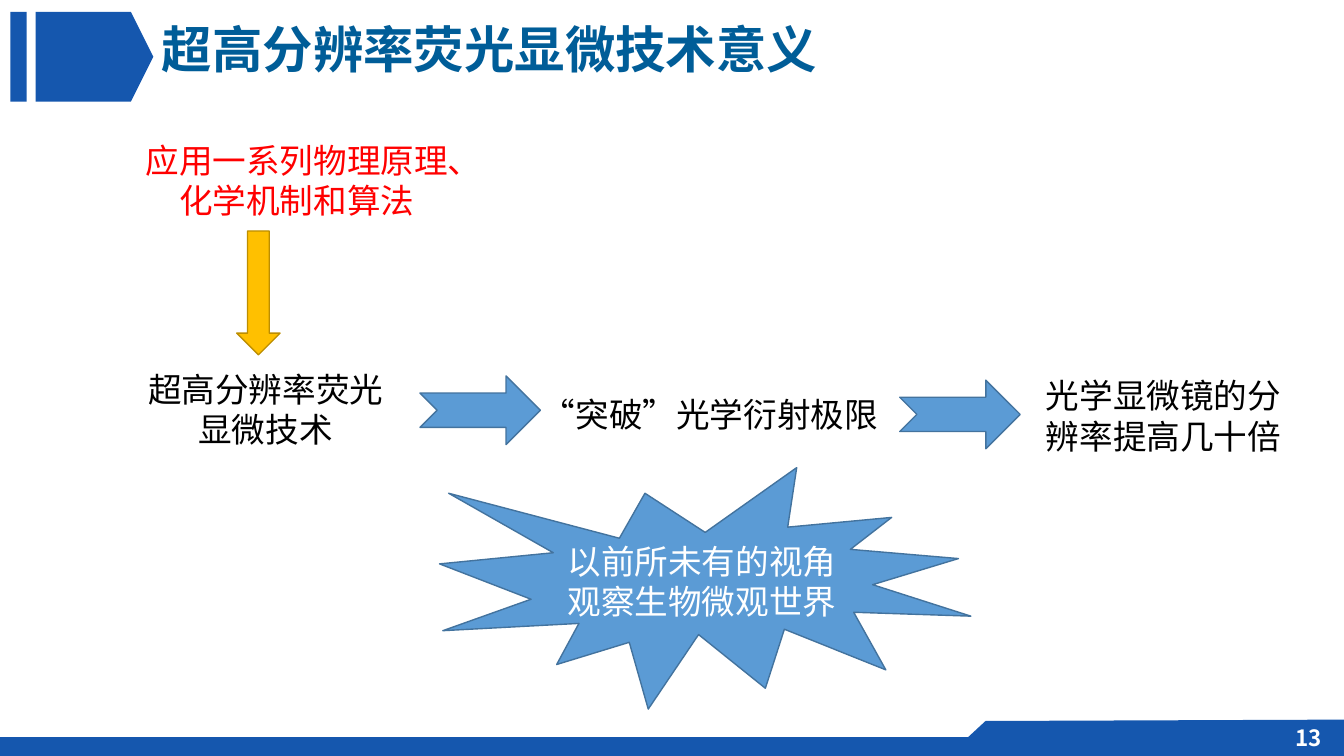
from lxml.etree import SubElement
from pptx import Presentation
from pptx.dml.color import RGBColor
from pptx.enum.shapes import MSO_SHAPE
from pptx.enum.text import MSO_ANCHOR, MSO_AUTO_SIZE, PP_ALIGN
from pptx.oxml.ns import qn
from pptx.util import Pt

WIDTH, HEIGHT = 960, 540
FONT = "Noto Sans CJK SC"
NAVY, TITLE_BLUE, WHITE, BLACK, RED = "1557AE", "005D98", "FFFFFF", "000000", "FF0000"
BLUE, BLUE_EDGE, GOLD, GOLD_EDGE = "5B9BD5", "43739E", "FFC000", "BD8E00"


def color(value):
    return RGBColor.from_string(value)


def paint(shape, fill, edge=None):
    shape.shadow.inherit = False
    shape.fill.solid()
    shape.fill.fore_color.rgb = color(fill)
    if edge:
        shape.line.color.rgb = color(edge)
        shape.line.width = Pt(1)
    else:
        shape.line.fill.background()


def add_block(slide, kind, box, fill, edge=None):
    shape = slide.shapes.add_shape(kind, *map(Pt, box))
    paint(shape, fill, edge)
    return shape


def add_outline(slide, points, fill):
    start, *others = [(Pt(x), Pt(y)) for x, y in points]
    builder = slide.shapes.build_freeform(*start, scale=1.0)
    builder.add_line_segments(others, close=True)
    paint(builder.convert_to_shape(), fill)


def write(shape, text, size, text_color, bold=False, align=PP_ALIGN.LEFT):
    """Put one paragraph in the shape, with the font set for Chinese as well."""
    paragraph = shape.text_frame.paragraphs[0]
    paragraph.alignment = align
    run = paragraph.add_run()
    run.text = text
    formats = {"name": FONT, "size": Pt(size), "bold": bold}
    for name, value in formats.items():
        setattr(run.font, name, value)
    run.font.color.rgb = color(text_color)
    SubElement(run.font._element, qn("a:ea"), typeface=FONT)


def add_text(slide, box, text, size=24, text_color=BLACK, wrap=True, **formats):
    shape = slide.shapes.add_textbox(*map(Pt, box))
    frame_formats = {"word_wrap": wrap, "auto_size": MSO_AUTO_SIZE.SHAPE_TO_FIT_TEXT}
    for name, value in frame_formats.items():
        setattr(shape.text_frame, name, value)
    write(shape, text, size, text_color, **formats)


def add_header(slide, left, top, height, title):
    bottom, middle = top + height, top + height / 2
    tag_left, shoulder, tip = left + 18, left + 86, left + 102
    add_outline(slide, [(tag_left, top), (shoulder, top), (tip, middle),
                        (shoulder, bottom), (tag_left, bottom)], NAVY)
    add_block(slide, MSO_SHAPE.RECTANGLE, (left, top, 11.5, height), NAVY)
    add_text(slide, (tip - 1, top + 0.8, 760, 51), title, 36, TITLE_BLUE, bold=True)


def add_footer(slide, top, number):
    tab_left = 677.5
    add_outline(slide, [(WIDTH, HEIGHT), (WIDTH, top), (704, top + 1),
                        (tab_left, HEIGHT - 0.5), (tab_left, HEIGHT)], NAVY)
    bar_top = top + 12.5
    add_block(slide, MSO_SHAPE.FLOWCHART_PROCESS, (0, bar_top, 711.5, HEIGHT - bar_top), NAVY)
    add_text(slide, (918, top - 0.6, 34.5, 26.6), number, 16, WHITE, wrap=False, bold=True)


def add_technique(slide, left, top):
    """Principles above, an arrow down, and the technique they lead to."""
    add_text(slide, (left, top, 242.6, 65.5), "应用一系列物理原理、化学机制和算法",
             text_color=RED, align=PP_ALIGN.CENTER)
    add_block(slide, MSO_SHAPE.DOWN_ARROW, (left + 78.4, top + 68.5, 31, 88.5), GOLD, GOLD_EDGE)
    add_text(slide, (left, top + 163.5, 198, 65.5), "超高分辨率荧光显微技术",
             align=PP_ALIGN.CENTER)


def add_results(slide, left, top):
    """Two steps to the right, each led in by a notched arrow."""
    for x, y in ((0, 0), (342.7, 3)):
        add_block(slide, MSO_SHAPE.NOTCHED_RIGHT_ARROW,
                  (left + x, top + y, 86, 49), BLUE, BLUE_EDGE)
    add_text(slide, (left + 80, top + 9, 262, 36.7), "“突破”光学衍射极限")
    add_text(slide, (left + 440, top - 4, 198, 65.5), "光学显微镜的分辨率提高几十倍")


def add_burst(slide, box, text):
    burst = add_block(slide, MSO_SHAPE.EXPLOSION1, box, BLUE, BLUE_EDGE)
    frame_formats = {"word_wrap": True, "vertical_anchor": MSO_ANCHOR.MIDDLE}
    for name, value in frame_formats.items():
        setattr(burst.text_frame, name, value)
    write(burst, text, 24, WHITE, align=PP_ALIGN.CENTER)


def main():
    presentation = Presentation()
    presentation.slide_width, presentation.slide_height = Pt(WIDTH), Pt(HEIGHT)
    slide = presentation.slides.add_slide(presentation.slide_layouts[6])
    add_header(slide, 7.5, 8.6, 64, "超高分辨率荧光显微技术意义")
    add_footer(slide, 514, "13")
    add_technique(slide, 90.7, 96.5)
    add_results(slide, 300, 268.5)
    add_burst(slide, (314, 334, 379.5, 172.5), "以前所未有的视角观察生物微观世界")
    presentation.save("out.pptx")


if __name__ == "__main__":
    main()
